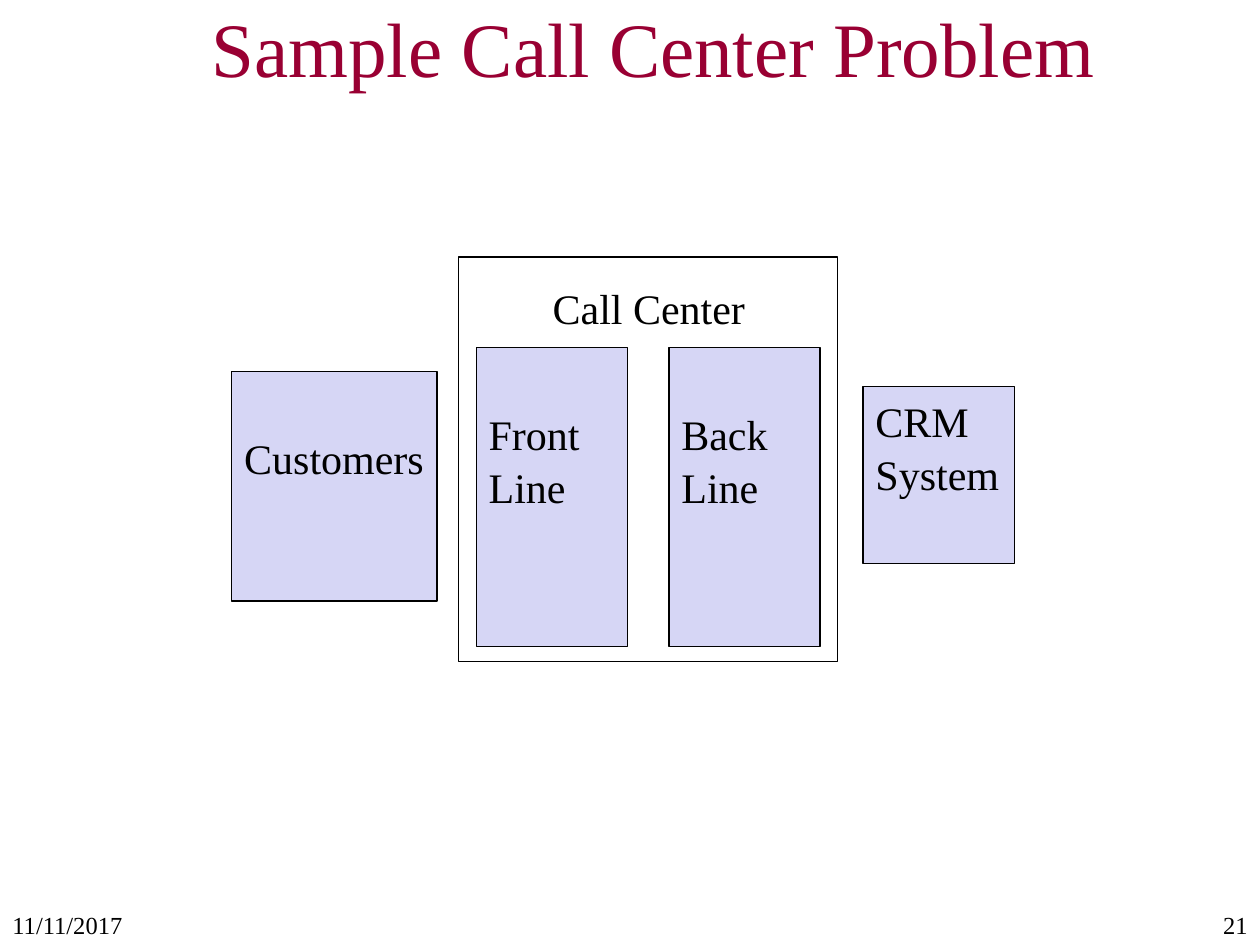
from dataclasses import dataclass

from pptx import Presentation
from pptx.dml.color import RGBColor
from pptx.enum.shapes import MSO_SHAPE
from pptx.enum.text import MSO_ANCHOR, PP_ALIGN
from pptx.util import Inches, Pt

RECTANGLE = MSO_SHAPE.RECTANGLE
TOP, MIDDLE = MSO_ANCHOR.TOP, MSO_ANCHOR.MIDDLE
LEFT, CENTER, RIGHT = PP_ALIGN.LEFT, PP_ALIGN.CENTER, PP_ALIGN.RIGHT

FONT = "Times New Roman"
CRIMSON = RGBColor(0x99, 0x00, 0x33)
LAVENDER = RGBColor(0xD6, 0xD6, 0xF5)
BLACK = RGBColor(0x00, 0x00, 0x00)

SLIDE_WIDTH, SLIDE_HEIGHT = Inches(10), Inches(7.5)
LINE_DROP = Inches(0.46)  # top inset that lowers a label by one line
TITLE_ONLY = 5


@dataclass(frozen=True)
class Area:
    """A rectangle in percent of the slide's width and height."""
    left: float
    top: float
    width: float
    height: float

    def bounds(self) -> tuple[int, int, int, int]:
        return (round(SLIDE_WIDTH * self.left / 100),
                round(SLIDE_HEIGHT * self.top / 100),
                round(SLIDE_WIDTH * self.width / 100),
                round(SLIDE_HEIGHT * self.height / 100))


@dataclass(frozen=True)
class Block:
    label: str
    area: Area
    inset_top: int = LINE_DROP
    wrap: bool = True


def write(shape, text: str, *, size: float, color=BLACK, align=LEFT,
          anchor=TOP, spacing: float = 1.0, inset_top: int = Inches(0.05),
          wrap: bool = True) -> None:
    frame = shape.text_frame
    frame.word_wrap = wrap
    frame.vertical_anchor = anchor
    frame.margin_top = inset_top
    para = frame.paragraphs[0]
    para.alignment = align
    para.line_spacing = spacing
    span = para.add_run()
    span.text = text
    span.font.name = FONT
    span.font.size = Pt(size)
    span.font.color.rgb = color


def add_box(page, area: Area, fill=None):
    box = page.shapes.add_shape(RECTANGLE, *area.bounds())
    box.shadow.inherit = False
    if fill is None:
        box.fill.background()
    else:
        box.fill.solid()
        box.fill.fore_color.rgb = fill
    box.line.color.rgb = BLACK
    box.line.width = Pt(0.75)
    return box


def add_label(page, text: str, area: Area, **text_format) -> None:
    write(page.shapes.add_textbox(*area.bounds()), text, **text_format)


def add_title(page, text: str, area: Area) -> None:
    title = page.shapes.title
    title.left, title.top, title.width, title.height = area.bounds()
    write(title, text, size=44, color=CRIMSON, anchor=MIDDLE)


def line_area(column: int) -> Area:
    """Place one of the two equal columns inside the call center."""
    return Area(37.8 + 15.3 * column, 36.8, 12, 31.6)


def main() -> None:
    deck = Presentation()
    deck.slide_width, deck.slide_height = SLIDE_WIDTH, SLIDE_HEIGHT
    page = deck.slides.add_slide(deck.slide_layouts[TITLE_ONLY])

    # Title and footer
    add_title(page, "Sample Call Center Problem", Area(15.8, 1.07, 84.2, 7.73))
    add_label(page, "11/11/2017", Area(0, 95.6, 20.8, 4.4), size=14)
    add_label(page, "21", Area(85.8, 95.6, 14.2, 4.4), size=14, align=RIGHT)

    # Parties of the call center problem
    blocks = [
        Block("CRM System", Area(68.5, 40.93, 12, 18.67), Inches(0.05)),
        Block("Customers", Area(18.4, 39.33, 16.3, 24.27), wrap=False),
        Block("Front Line", line_area(0)),
        Block("Back Line", line_area(1)),
    ]
    for block in blocks:
        write(add_box(page, block.area, LAVENDER), block.label, size=24,
              spacing=1.05, inset_top=block.inset_top, wrap=block.wrap)

    # Call center frame and its heading
    add_box(page, Area(36.4, 27.2, 30.1, 42.8))
    add_label(page, "Call Center", Area(37.8, 28.93, 27.4, 6.67), size=24,
              align=CENTER, spacing=1.05)

    deck.save("out.pptx")


if __name__ == "__main__":
    main()
